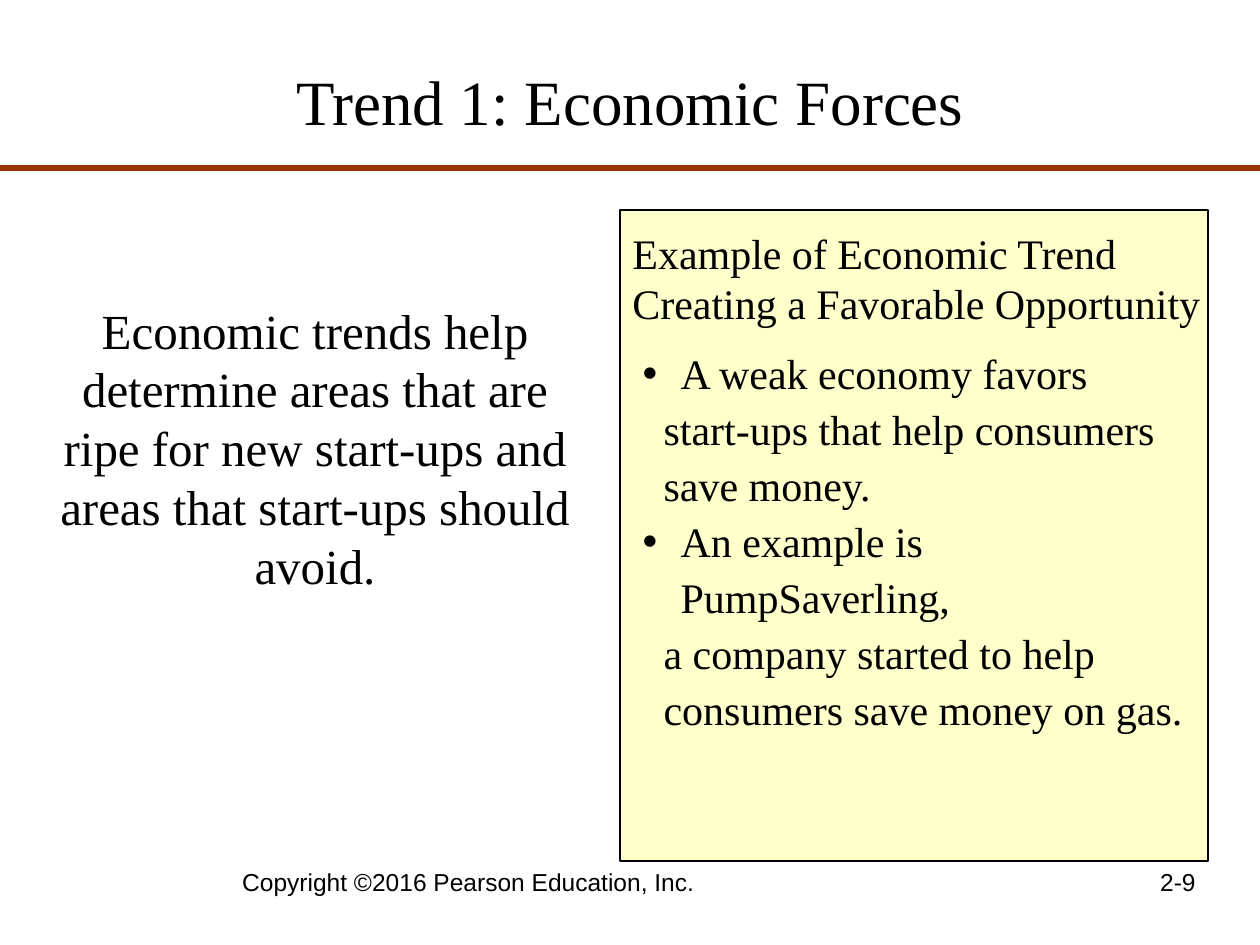
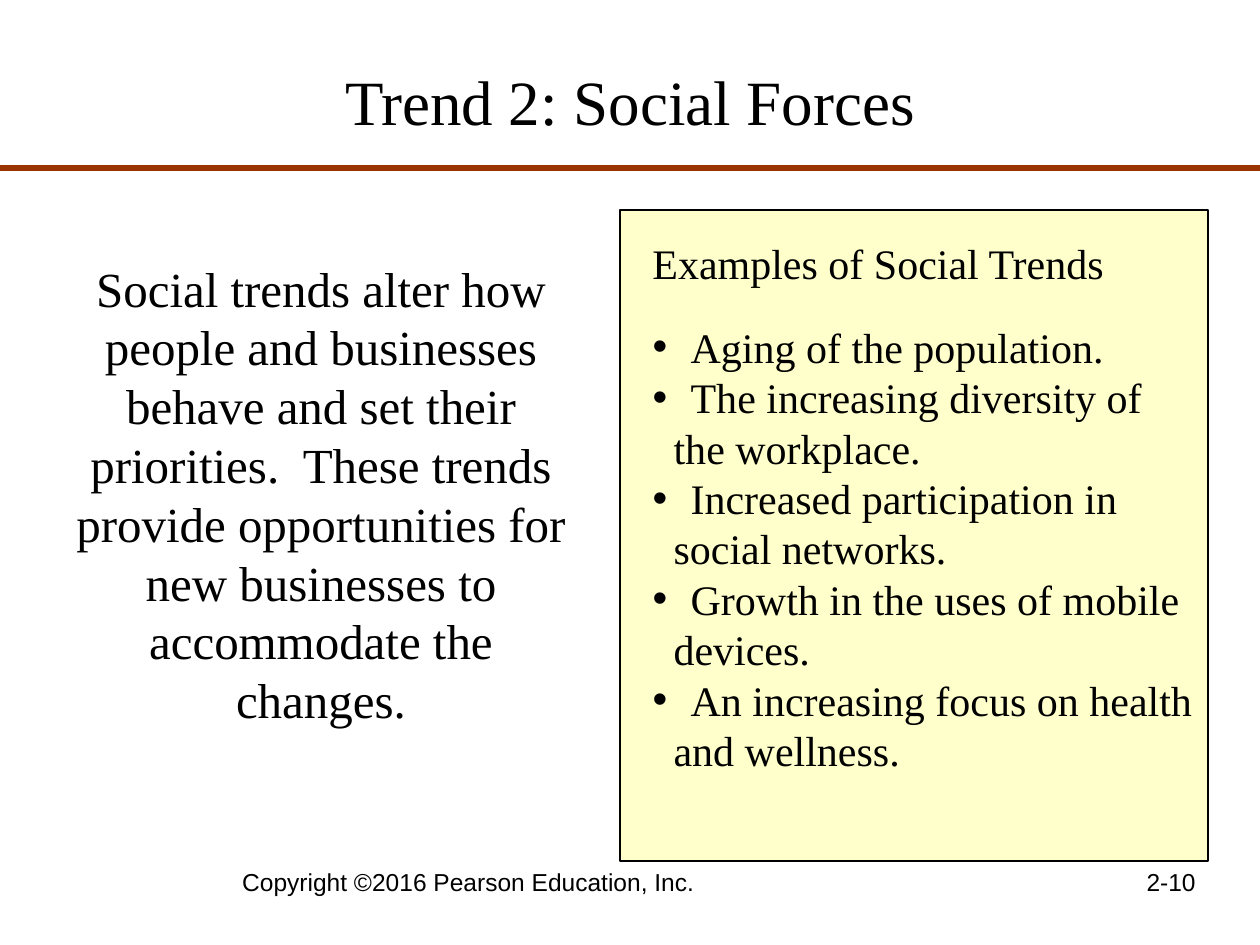
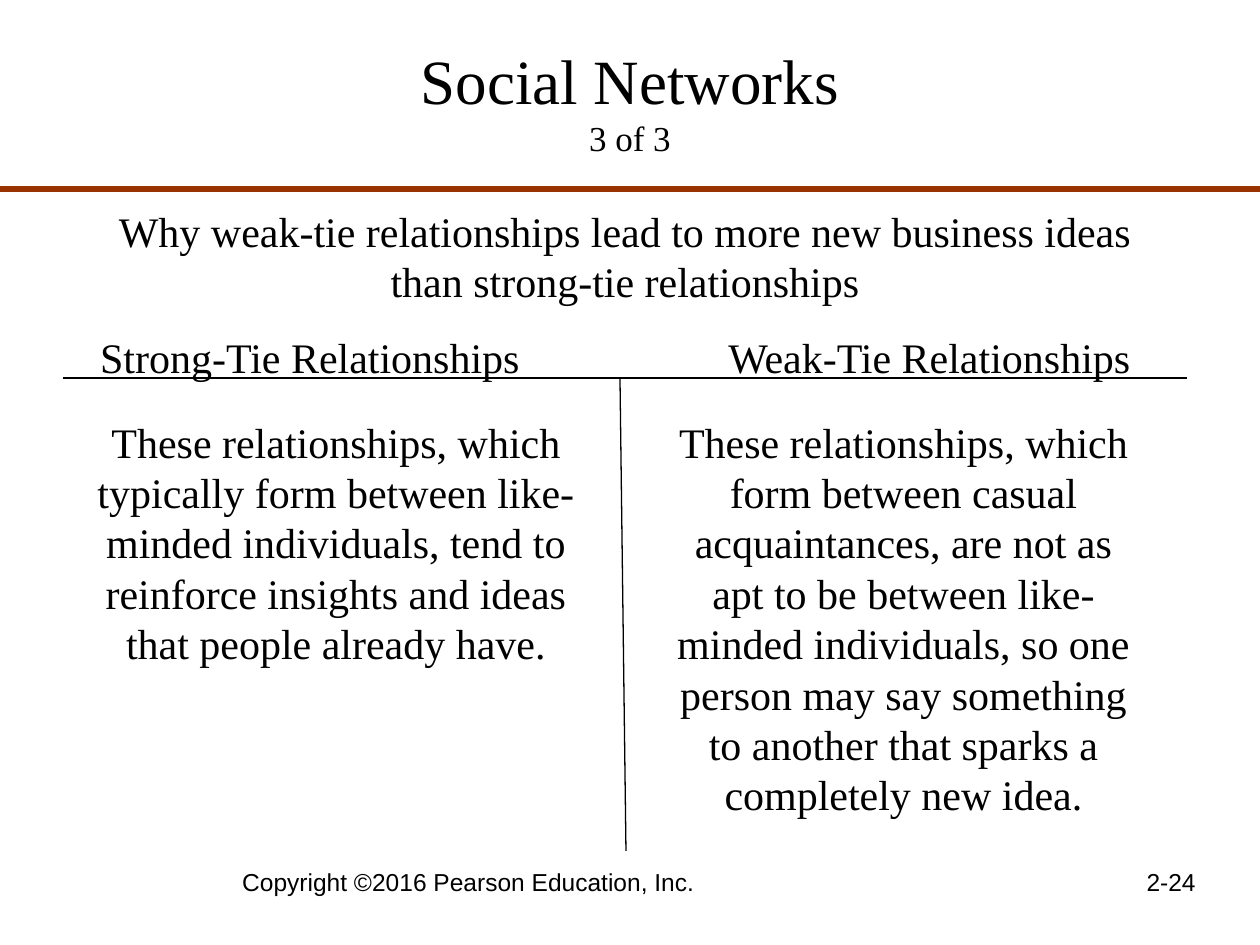
"""Builds three slides on opportunity trends and social networks."""
from lxml.etree import SubElement
from pptx import Presentation
from pptx.dml.color import RGBColor
from pptx.enum.shapes import MSO_CONNECTOR as Line, MSO_SHAPE as Preset
from pptx.enum.text import MSO_ANCHOR as Anchor, MSO_AUTO_SIZE as AutoSize, PP_ALIGN as Align
from pptx.oxml.ns import qn
from pptx.util import Emu, Pt

COLORS = {"ink": "000000", "rule": "993300", "panel": "FFFFCC"}
SERIF, SANS = "Times New Roman", "Arial"
TITLE_SIZE, SUBTITLE_SIZE, LEAD_SIZE, TEXT_SIZE, FOOTER_SIZE = 36, 20, 28, 24, 14
LEADING = 1.2
SCALE = 914400 / 126
WIDTH, HEIGHT = 1260, 945

TITLE_BOX = (63, 21, 1134, 158)
PANEL_BOX = (620, 210, 588, 651)
COPYRIGHT_BOX = (59, 861, 819, 66)
NUMBER_BOX = (914, 861, 294, 66)
BULLET_INDENT, FOLLOW_INDENT = 38, 21

COPYRIGHT = "Copyright ©2016 Pearson Education, Inc."

TRENDS = [
    {
        "title": "Trend 1: Economic Forces",
        "number": "2-9",
        "lead": ("Economic trends help determine areas that are ripe for new start-ups "
                 "and areas that start-ups should avoid.", (42, 294, 546, 307)),
        "heading": ("Example of Economic Trend Creating a Favorable Opportunity",
                    (620, 221, 609, 113)),
        "examples": [
            ["A weak economy favors", "start-ups that help consumers", "save money."],
            ["An example is PumpSaverling,", "a company started to help",
             "consumers save money on gas."],
        ],
        "examples_box": (630, 336, 577, 404),
        "leading": 32,
    },
    {
        "title": "Trend 2: Social Forces",
        "number": "2-10",
        "lead": ("Social trends alter how people and businesses behave and set their "
                 "priorities.  These trends provide opportunities for new businesses "
                 "to accommodate the changes.", (53, 252, 536, 484)),
        "heading": ("Examples of Social Trends", (640, 231, 525, 63)),
        "examples": [
            ["Aging of the population."],
            ["The increasing diversity of", "the workplace."],
            ["Increased participation in", "social networks."],
            ["Growth in the uses of mobile", "devices."],
            ["An increasing focus on health", "and wellness."],
        ],
        "examples_box": (640, 315, 567, 466),
        "leading": TEXT_SIZE * LEADING,
    },
]

NETWORKS = {
    "title": "Social Networks",
    "subtitle": "3 of 3",
    "number": "2-24",
    "texts": [
        ("Why weak-tie relationships lead to more new business ideas than strong-tie "
         "relationships", (105, 199, 1040, 113)),
        ("Strong-Tie Relationships", (32, 325, 556, 63)),
        ("Weak-Tie Relationships", (714, 325, 431, 63)),
        ("These relationships, which typically form between like-minded individuals, "
         "tend to reinforce insights and ideas that people already have.",
         (84, 410, 504, 265)),
        ("These relationships, which form between casual acquaintances, are not as apt "
         "to be between like-minded individuals, so one person may say something to "
         "another that sparks a completely new idea.", (662, 410, 483, 416)),
    ],
    "dividers": [((63, 378), (1187, 378)), ((620, 378), (626, 851))],
}


def px(length):
    return Emu(round(length * SCALE))


def color(name):
    return RGBColor.from_string(COLORS[name])


def place(shape, box):
    shape.left, shape.top, shape.width, shape.height = map(px, box)


def add_run(paragraph, text, size, font=SERIF):
    run = paragraph.add_run()
    run.text = text
    run.font.size, run.font.name, run.font.bold = Pt(size), font, False
    run.font.color.rgb = color("ink")


def add_text(slide, text, box, size=TEXT_SIZE, align=Align.CENTER, font=SERIF):
    frame = slide.shapes.add_textbox(*map(px, box)).text_frame
    frame.word_wrap = True
    paragraph = frame.paragraphs[0]
    paragraph.alignment = align
    paragraph.line_spacing = Pt(size * LEADING)
    add_run(paragraph, text, size, font)


def add_line(slide, start, end, name="ink", width=0.75):
    line = slide.shapes.add_connector(Line.STRAIGHT, *map(px, start + end))
    line.line.color.rgb = color(name)
    line.line.width = Pt(width)
    SubElement(line.element.spPr, qn("a:effectLst"))


def add_slide(deck, layout, content, rule_top):
    slide = deck.slides.add_slide(deck.slide_layouts[layout])
    title = slide.shapes.title
    place(title, TITLE_BOX)
    frame = title.text_frame
    frame.auto_size, frame.vertical_anchor = AutoSize.NONE, Anchor.MIDDLE
    paragraph = frame.paragraphs[0]
    paragraph.alignment = Align.CENTER
    add_run(paragraph, content["title"], TITLE_SIZE)
    if "subtitle" in content:
        paragraph.add_line_break()
        add_run(paragraph, content["subtitle"], SUBTITLE_SIZE)
    add_line(slide, (0, rule_top), (WIDTH, rule_top), "rule", 3)
    add_text(slide, COPYRIGHT, COPYRIGHT_BOX, FOOTER_SIZE, Align.CENTER, SANS)
    add_text(slide, content["number"], NUMBER_BOX, FOOTER_SIZE, Align.RIGHT, SANS)
    return slide


def set_indent(paragraph, bulleted):
    props = paragraph._p.get_or_add_pPr()
    margin = BULLET_INDENT if bulleted else FOLLOW_INDENT
    props.set("marL", str(px(margin)))
    props.set("indent", str(-px(margin) if bulleted else 0))
    if bulleted:
        SubElement(props, qn("a:buChar"), char="•")
    else:
        SubElement(props, qn("a:buNone"))


def fill_examples(body, trend):
    place(body, trend["examples_box"])
    frame = body.text_frame
    frame.auto_size, frame.vertical_anchor = AutoSize.NONE, Anchor.TOP
    lines = [(text, i == 0) for item in trend["examples"] for i, text in enumerate(item)]
    for i, (text, bulleted) in enumerate(lines):
        paragraph = frame.add_paragraph() if i else frame.paragraphs[0]
        paragraph.alignment = Align.LEFT
        paragraph.space_before = Pt(0)
        paragraph.line_spacing = Pt(trend["leading"])
        set_indent(paragraph, bulleted)
        add_run(paragraph, text, TEXT_SIZE)


def add_trend(deck, trend):
    slide = add_slide(deck, 1, trend, 168)
    add_text(slide, *trend["lead"], size=LEAD_SIZE)
    panel = slide.shapes.add_shape(Preset.RECTANGLE, *map(px, PANEL_BOX))
    panel.shadow.inherit = False
    panel.fill.solid()
    panel.fill.fore_color.rgb = color("panel")
    panel.line.color.rgb = color("ink")
    panel.line.width = Pt(0.75)
    add_text(slide, *trend["heading"], align=Align.LEFT)
    body = slide.placeholders[1]
    fill_examples(body, trend)
    panel.element.getparent().append(body.element)


def add_networks(deck):
    slide = add_slide(deck, 5, NETWORKS, 189)
    for start, end in NETWORKS["dividers"]:
        add_line(slide, start, end)
    for text, box in NETWORKS["texts"]:
        add_text(slide, text, box)


def main():
    deck = Presentation()
    deck.slide_width, deck.slide_height = px(WIDTH), px(HEIGHT)
    for trend in TRENDS:
        add_trend(deck, trend)
    add_networks(deck)
    deck.save("out.pptx")


if __name__ == "__main__":
    main()
